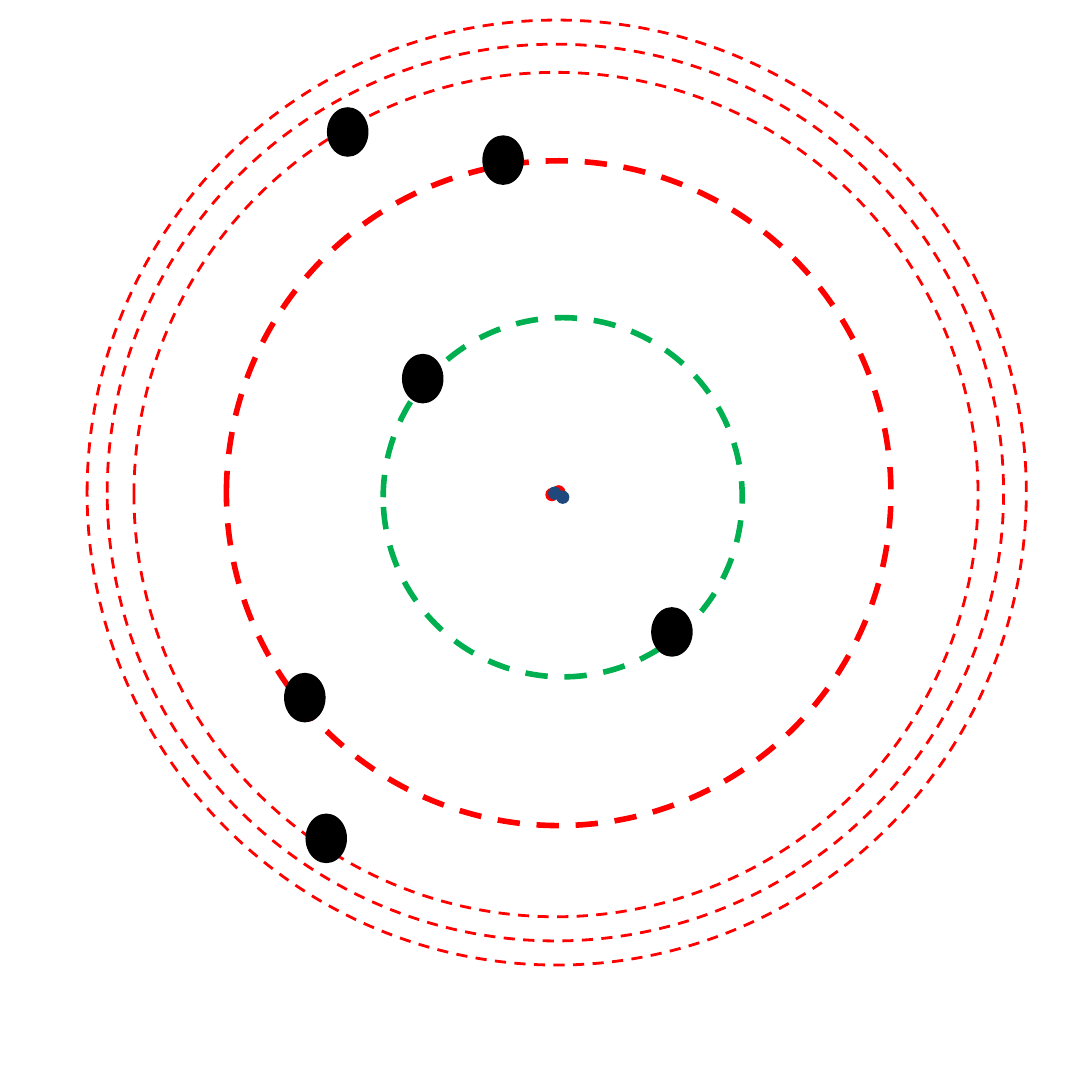
import pptx
import pptx.dml.color
import pptx.enum.dml
import pptx.enum.shapes
import pptx.util

Pt = pptx.util.Pt
COLOURS = {"red": "FF0000", "blue": "1F497D", "green": "00B050", "black": "000000"}

# All offsets run from the centre of the atom to the centre of the part
PARTICLE_SIZE = (7.2, 7.2)
PARTICLES = [
    ("red", (-2.52, 1.08)),
    ("red", (1.08, -0.36)),
    ("blue", (3.24, 2.52)),
    ("blue", (-1.08, 0.36)),
]

ELECTRON_SIZE = (22.32, 26.64)
# Colour, line width, offset, size, electron offsets
SHELLS = [
    ("green", 3, (3.24, 2.52), (192.96, 192.96), [(-72, -61.2), (61.92, 74.88)]),
    ("red", 3, (1.08, 0.36), (357.12, 357.12), [(-28.8, -178.56), (-135.36, 110.16)]),
    ("red", 1.5, (0, 0), (504.72, 507.6), []),
    ("red", 1.5, (-0.72, 0), (481.68, 481.68), []),
    ("red", 1.5, (-0.36, 1.08), (453.6, 453.6), [(-112.32, -193.68), (-123.84, 185.76)]),
]


def colour(name):
    return pptx.dml.color.RGBColor.from_string(COLOURS[name])


def add_ellipse(page, centre, offset, size):
    width, height = size
    left = centre[0] + offset[0] - width / 2
    top = centre[1] + offset[1] - height / 2
    ellipse = page.shapes.add_shape(
        pptx.enum.shapes.MSO_SHAPE.OVAL, Pt(left), Pt(top), Pt(width), Pt(height))
    ellipse.shadow.inherit = False
    return ellipse


def add_dot(page, centre, offset, size, fill):
    dot = add_ellipse(page, centre, offset, size)
    dot.fill.solid()
    dot.fill.fore_color.rgb = colour(fill)
    dot.line.fill.background()


def add_ring(page, centre, offset, size, stroke, line_width):
    ring = add_ellipse(page, centre, offset, size)
    ring.fill.background()
    ring.line.color.rgb = colour(stroke)
    ring.line.width = Pt(line_width)
    ring.line.dash_style = pptx.enum.dml.MSO_LINE.DASH


def add_atom(page, left, top, width, height):
    centre = (left + width / 2, top + height / 2)
    # Nucleus
    for fill, offset in PARTICLES:
        add_dot(page, centre, offset, PARTICLE_SIZE, fill)
    # Shells with their electrons
    for stroke, line_width, offset, size, electrons in SHELLS:
        add_ring(page, centre, offset, size, stroke, line_width)
        for electron in electrons:
            add_dot(page, centre, electron, ELECTRON_SIZE, "black")


def main():
    deck = pptx.Presentation()
    deck.slide_width, deck.slide_height = Pt(586.8), Pt(583.92)
    page = deck.slides.add_slide(deck.slide_layouts[6])
    add_atom(page, 46.8, 10.8, 504.72, 507.6)
    deck.save("out.pptx")


if __name__ == "__main__":
    main()
